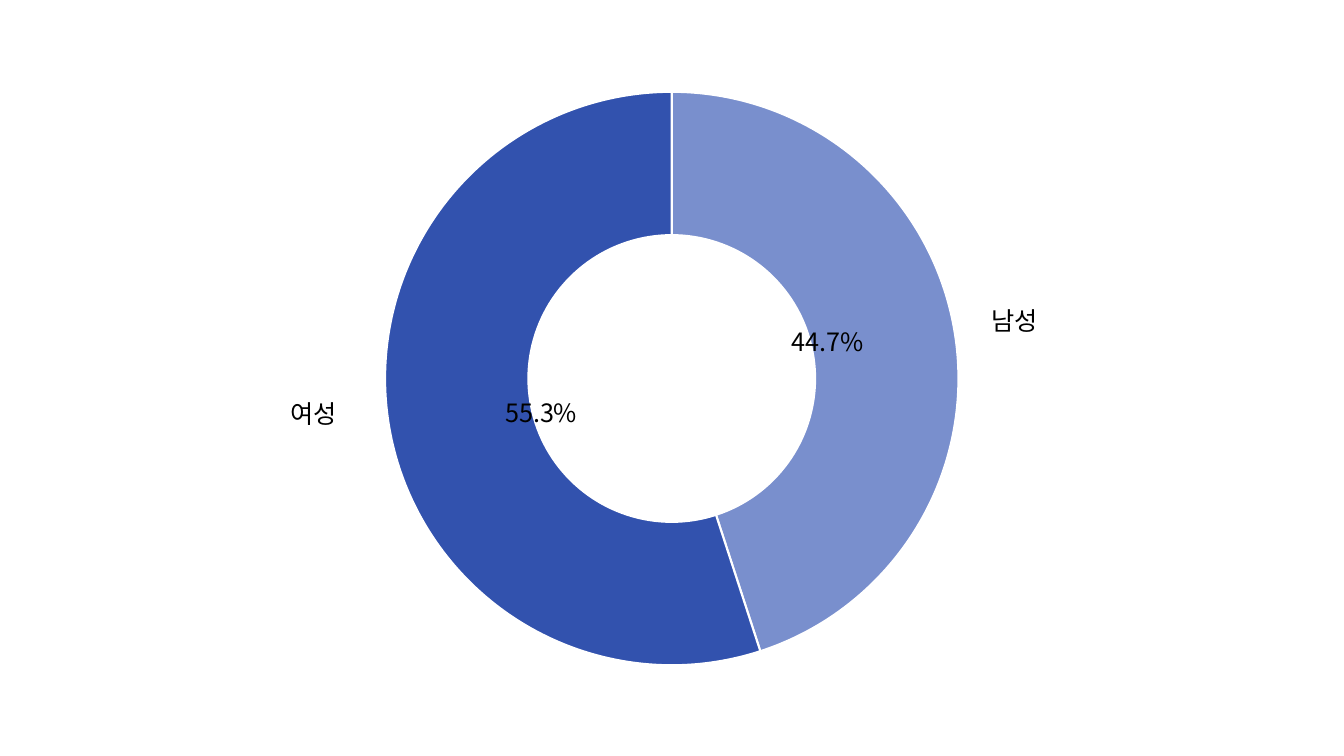
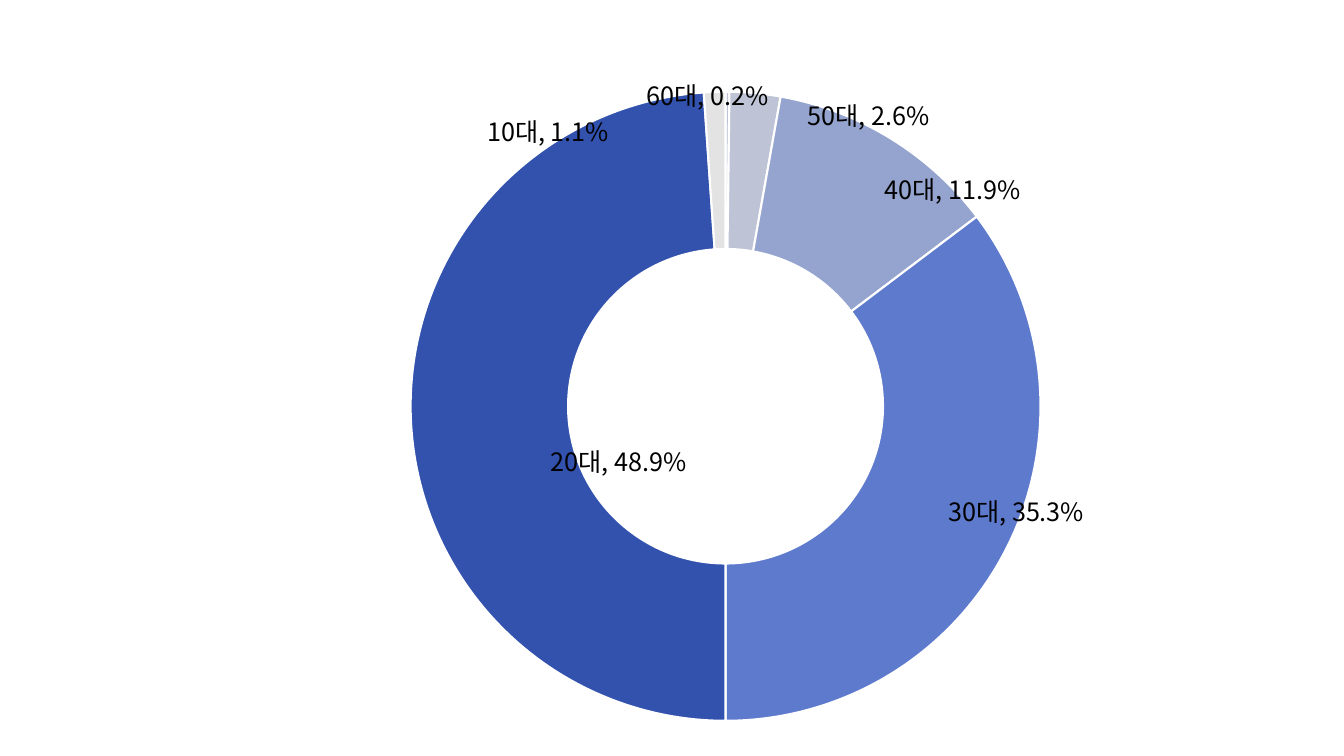
import copy

import pptx
import pptx.chart.data
import pptx.dml.color
import pptx.enum.chart
import pptx.oxml
import pptx.oxml.ns
import pptx.util

Cm, Pt = pptx.util.Cm, pptx.util.Pt
rgb = pptx.dml.color.RGBColor.from_string
qn = pptx.oxml.ns.qn

FONT = "Noto Sans CJK KR"
BLACK, WHITE = "000000", "FFFFFF"
NAVY = "3252AE"


def add_text(s, text, x, y, w, h, size=18, color=BLACK):
    tf = s.shapes.add_textbox(Cm(x), Cm(y), Cm(w), Cm(h)).text_frame
    tf.word_wrap = True
    r = tf.paragraphs[0].add_run()
    r.text = text
    r.font.size = Pt(size)
    r.font.color.rgb = rgb(color)
    r.font.name = FONT
    r._r.get_or_add_rPr().append(r._r.makeelement(qn("a:ea"), {"typeface": FONT}))


def manual_layout(**settings):
    """Return a c:layout element; settings must follow schema order."""
    parts = "".join(f'<c:{k} val="{v}"/>' for k, v in settings.items())
    return pptx.oxml.parse_xml(
        f'<c:layout {pptx.oxml.ns.nsdecls("c")}>'
        f"<c:manualLayout>{parts}</c:manualLayout></c:layout>")


# Each slice: category, value, colour, label offset as a fraction of the chart
gender = dict(
    box=(5.64, 2.01, 22.58, 15.06), plot=(0.18, 0.02, 0.64, 0.96),
    number_format="0",
    slices=[("1", 45, "798FCD", None), ("2", 55, NAVY, None)],
    texts=[("여성", 7.07, 9.9, 1.96, 1.02), ("남성", 24.74, 7.56, 2.03, 1.02),
           ("55.3%", 12.48, 9.89, 2.84, 1.02), ("44.7%", 19.69, 8.1, 2.84, 1.02)])
age = dict(
    box=(1.58, 0.84, 30.71, 17.35), plot=(0.278, 0.085, 0.532, 0.915),
    number_format="0.0%",
    slices=[("60대", 0.002, "BEC4D5", (-0.016, -0.11)),
            ("50대", 0.026, "BEC4D5", (0.099, -0.083)),
            ("40대", 0.119, "95A4CF", (0.085, -0.024)),
            ("30대", 0.353, "5D7ACD", (0.065, -0.002)),
            ("20대", 0.489, NAVY, (0.106, 0.067)),
            ("10대", 0.011, "E3E3E3", (-0.139, -0.058))],
    texts=[])

prs = pptx.Presentation()
prs.slide_width, prs.slide_height = Cm(33.87), Cm(19.05)

for page in (gender, age):
    s = prs.slides.add_slide(prs.slide_layouts[6])
    slices = page["slices"]

    data = pptx.chart.data.CategoryChartData(number_format=page["number_format"])
    data.categories = [name for name, *_ in slices]
    data.add_series("Series 1", [value for _, value, *_ in slices])
    chart = s.shapes.add_chart(pptx.enum.chart.XL_CHART_TYPE.DOUGHNUT,
                               *map(Cm, page["box"]), data).chart
    chart.has_legend = chart.has_title = False
    chart.font.size = Pt(18)
    chart.font.color.rgb = rgb(BLACK)
    chart.font.name = FONT
    for latin in chart._chartSpace.xpath("c:txPr//a:latin"):
        latin.addnext(latin.makeelement(qn("a:ea"), {"typeface": FONT}))

    plot_area = chart._chartSpace.xpath("c:chart/c:plotArea")[0]
    for layout in plot_area.xpath("c:layout"):
        plot_area.remove(layout)
    plot_area.insert(0, manual_layout(
        layoutTarget="inner", xMode="edge", yMode="edge",
        **dict(zip("xywh", page["plot"]))))
    for hole in plot_area.xpath(".//c:holeSize"):
        hole.set("val", "50")

    series = chart.plots[0].series[0]
    for i, (_, _, color, _) in enumerate(slices):
        fmt = series.points[i].format
        fmt.fill.solid()
        fmt.fill.fore_color.rgb = rgb(color)
        fmt.line.color.rgb = rgb(WHITE)
        fmt.line.width = Pt(1.5)

    if slices[0][3]:
        labels = series.data_labels
        labels.show_value = labels.show_category_name = True
        labels.number_format = page["number_format"]
        labels.number_format_is_linked = False
        dLbls = labels._element
        separator = dLbls.makeelement(qn("c:separator"), {})
        separator.text = ", "
        dLbls.xpath("c:showBubbleSize")[0].addnext(separator)
        for leader in dLbls.xpath("c:showLeaderLines"):
            leader.set("val", "0")
        shared = [e for e in dLbls if e.tag != qn("c:showLeaderLines")]
        for i, (*_, (dx, dy)) in enumerate(slices):
            dLbl = dLbls.makeelement(qn("c:dLbl"), {})
            dLbl.append(dLbl.makeelement(qn("c:idx"), {"val": str(i)}))
            dLbl.append(manual_layout(x=dx, y=dy))
            dLbl.extend(copy.deepcopy(shared))
            dLbls.insert(i, dLbl)

    for text in page["texts"]:
        add_text(s, *text)

prs.save("out.pptx")
